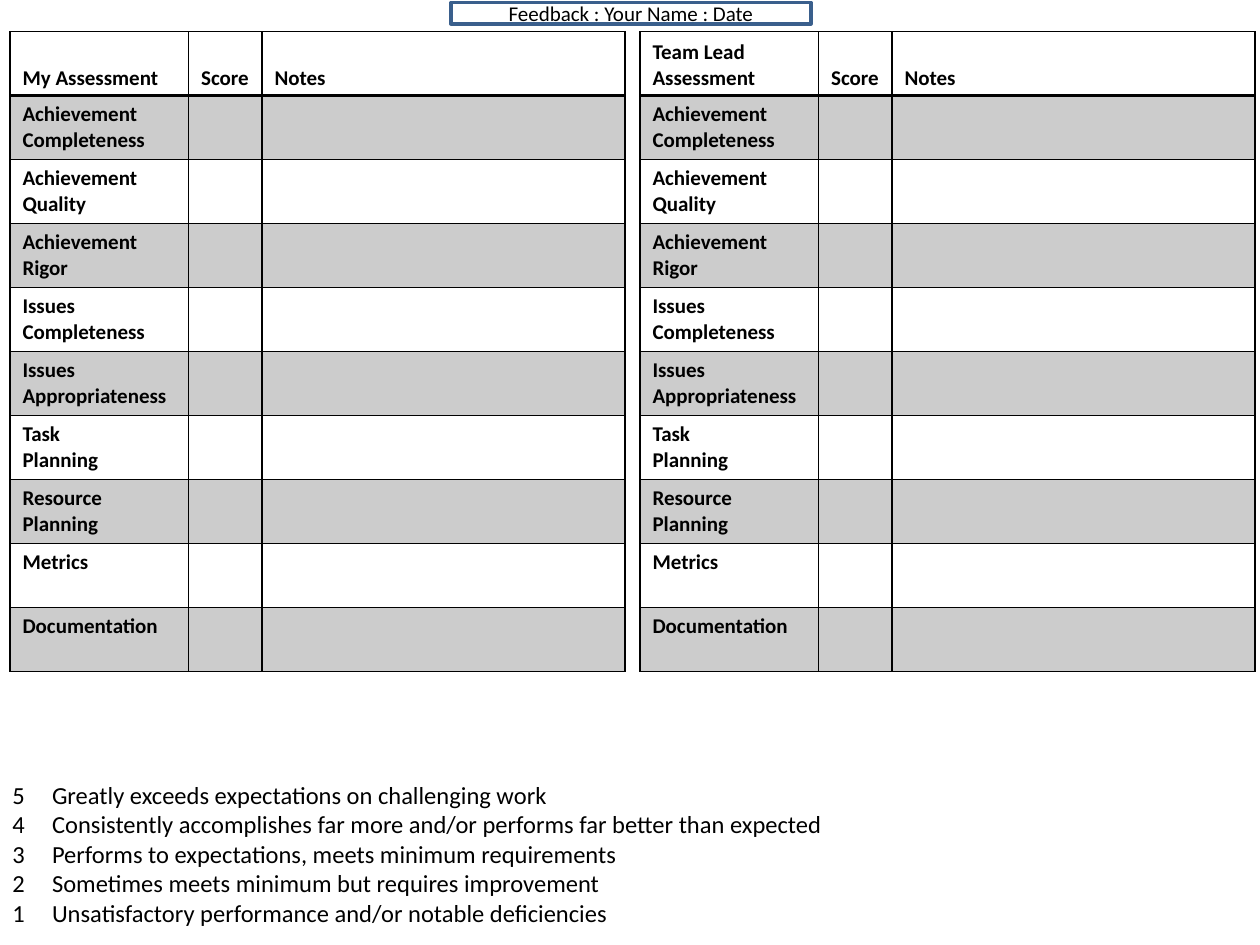
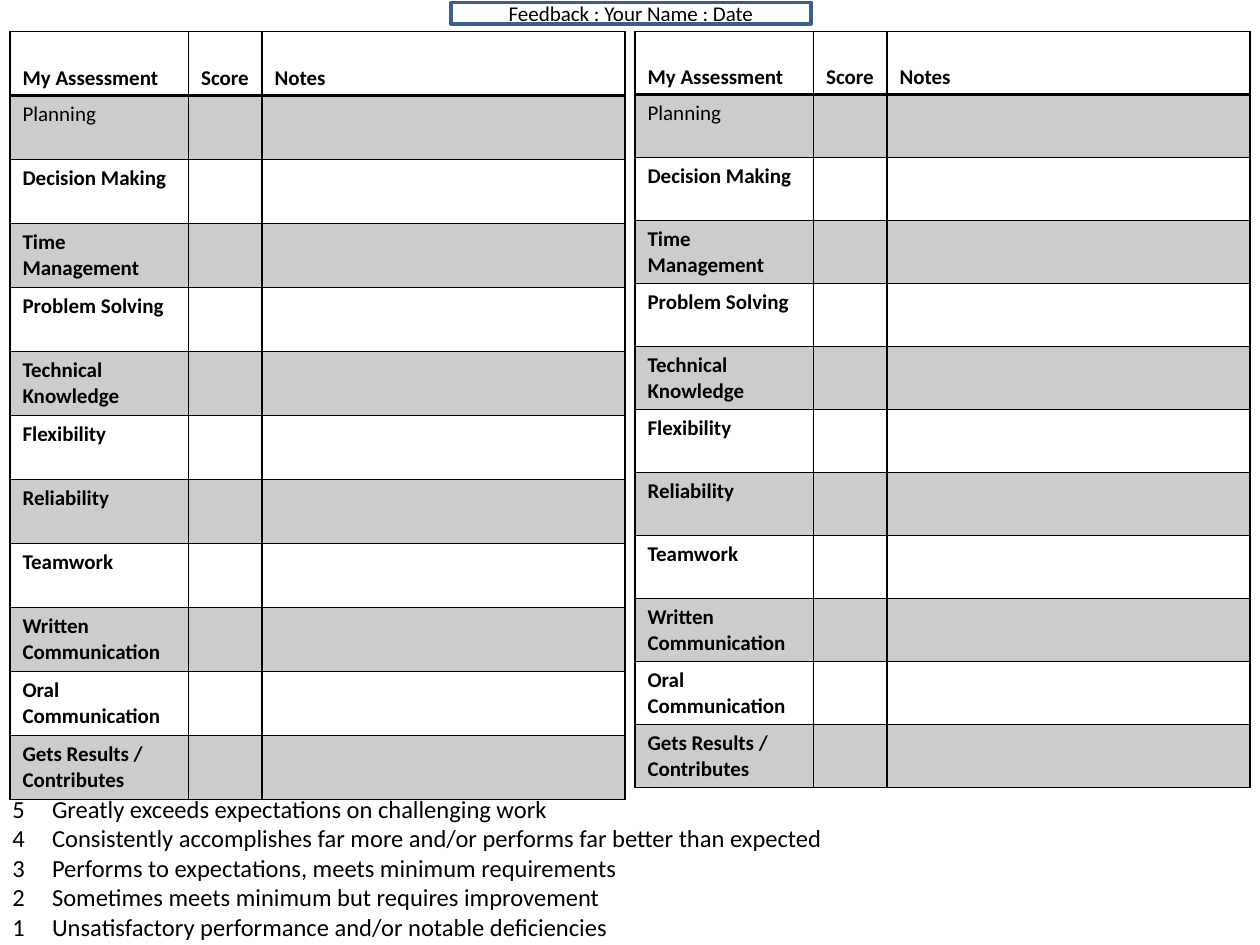
"""Build two feedback forms with paired assessment tables and a score legend."""
from lxml.etree import SubElement
from pptx import Presentation
from pptx.dml.color import RGBColor
from pptx.enum.text import MSO_ANCHOR as Anchor, MSO_AUTO_SIZE as AutoSize, PP_ALIGN as Align
from pptx.oxml.ns import qn
from pptx.util import Cm, Pt

FONT = "Calibri"
BLACK, WHITE, BAND, FRAME = "000000", "FFFFFF", "CCCCCC", "3A5F8C"
TITLE = "Feedback : Your Name : Date"
COLUMN_WIDTHS = (3.6, 1.48, 7.32)
TABLE_TOP = 0.64
TALL_ROW, SHORT_ROW = 1.29, 1.27

SCORE_MEANINGS = {
    5: "Greatly exceeds expectations on challenging work",
    4: "Consistently accomplishes far more and/or performs far better than expected",
    3: "Performs to expectations, meets minimum requirements",
    2: "Sometimes meets minimum but requires improvement",
    1: "Unsatisfactory performance and/or notable deficiencies",
}
DELIVERY_CRITERIA = (
    "Achievement Completeness", "Achievement Quality", "Achievement Rigor",
    "Issues Completeness", "Issues Appropriateness", "Task\nPlanning",
    "Resource Planning", "Metrics", "Documentation",
)
SKILL_CRITERIA = (
    "Planning", "Decision Making", "Time Management", "Problem Solving",
    "Technical Knowledge", "Flexibility", "Reliability", "Teamwork",
    "Written Communication", "Oral Communication", "Gets Results / Contributes",
)
REGULAR_CRITERIA = ("Planning",)


def color(hex_code):
    return RGBColor.from_string(hex_code)


def style_text(frame, size, bold=False, align=Align.LEFT):
    for paragraph in frame.paragraphs:
        paragraph.alignment = align
        font = paragraph.font
        font.name, font.size, font.bold = FONT, Pt(size), bold
        font.color.rgb = color(BLACK)


def set_borders(cell, top=1, bottom=1):
    properties = cell._tc.get_or_add_tcPr()
    for side, width in (("L", 1), ("R", 1), ("T", top), ("B", bottom)):
        line = SubElement(properties, qn(f"a:ln{side}"), w=str(Pt(width)))
        SubElement(SubElement(line, qn("a:solidFill")), qn("a:srgbClr"), val=BLACK)


def fill_cell(cell, text, row):
    cell.text = text
    cell.margin_bottom = Cm(0.1)
    cell.vertical_anchor = Anchor.TOP if row else Anchor.BOTTOM
    style_text(cell.text_frame, 12, bold=text not in REGULAR_CRITERIA)
    set_borders(cell, top=2 if row == 1 else 1, bottom=1 if row else 2)
    if row % 2:
        cell.fill.solid()
        cell.fill.fore_color.rgb = color(BAND)
    else:
        cell.fill.background()


def add_assessment(slide, left, heading, criteria, row_height):
    rows = [(heading, "Score", "Notes")] + [(name, "", "") for name in criteria]
    table = slide.shapes.add_table(
        len(rows), len(COLUMN_WIDTHS), Cm(left), Cm(TABLE_TOP),
        Cm(sum(COLUMN_WIDTHS)), Cm(row_height * len(rows))).table
    table.first_row = table.horz_banding = False
    for column, width in zip(table.columns, COLUMN_WIDTHS):
        column.width = Cm(width)
    for row, texts in enumerate(rows):
        for column, text in enumerate(texts):
            fill_cell(table.cell(row, column), text, row)


def add_score_legend(slide, top):
    frame = slide.shapes.add_textbox(Cm(0), Cm(top), Cm(17.98), Cm(3.25)).text_frame
    frame.word_wrap = True
    frame.text = "\n".join(f"{score}\t{meaning}" for score, meaning in SCORE_MEANINGS.items())
    style_text(frame, 14)
    indent = Cm(0.8)
    for paragraph in frame.paragraphs:
        properties = paragraph._p.get_or_add_pPr()
        properties.set("marL", str(indent))
        properties.set("indent", str(-indent))


def add_feedback_slide(deck):
    slide = deck.slides.add_slide(deck.slide_layouts[5])
    title = slide.shapes.title
    title.left, title.top, title.width, title.height = Cm(9.09), Cm(0.05), Cm(7.26), Cm(0.43)
    title.fill.solid()
    title.fill.fore_color.rgb = color(WHITE)
    title.line.color.rgb = color(FRAME)
    title.line.width = Pt(2)
    frame = title.text_frame
    frame.text = TITLE
    frame.auto_size = AutoSize.NONE
    frame.vertical_anchor = Anchor.MIDDLE
    frame.margin_top = frame.margin_bottom = 0
    style_text(frame, 12, align=Align.CENTER)
    return slide


def main():
    deck = Presentation()
    deck.slide_width, deck.slide_height = Cm(25.4), Cm(19.05)

    delivery = add_feedback_slide(deck)
    add_assessment(delivery, 0.2, "My Assessment", DELIVERY_CRITERIA, TALL_ROW)
    add_assessment(delivery, 12.9, "Team Lead Assessment", DELIVERY_CRITERIA, TALL_ROW)
    add_score_legend(delivery, 15.6)

    skills = add_feedback_slide(deck)
    add_assessment(skills, 0.2, "My Assessment", SKILL_CRITERIA, TALL_ROW)
    add_assessment(skills, 12.8, "My Assessment", SKILL_CRITERIA, SHORT_ROW)
    add_score_legend(skills, 15.88)

    deck.save("out.pptx")


if __name__ == "__main__":
    main()
